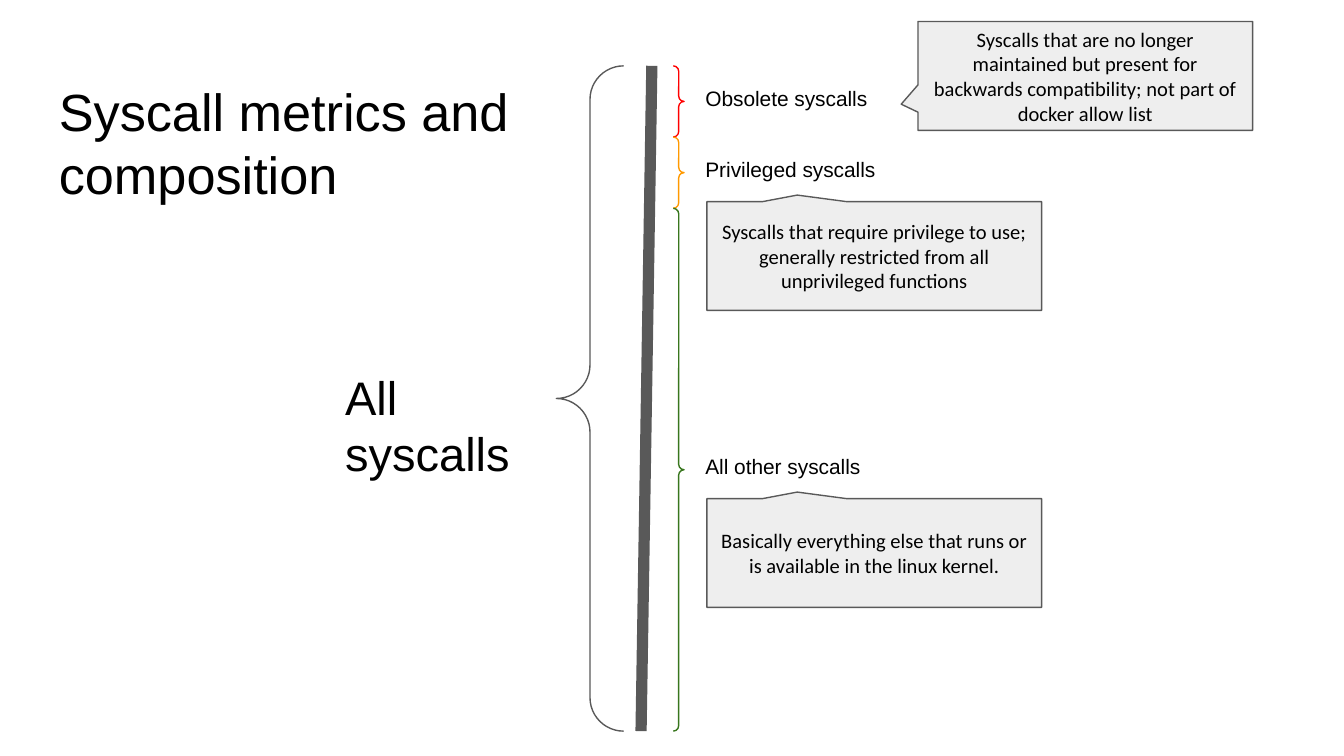
from dataclasses import dataclass

from lxml import etree
from pptx import Presentation
from pptx.dml.color import RGBColor
from pptx.enum import shapes, text
from pptx.oxml.ns import qn
from pptx.util import Inches, Pt


@dataclass(frozen=True)
class Theme:
    heading_font: str = "Arial"
    note_font: str = "Calibri"
    ink: str = "000000"
    outline: str = "595959"
    note_fill: str = "EEEEEE"
    obsolete: str = "FF0000"
    privileged: str = "FF9900"
    other: str = "38761D"
    title_size: float = 28
    total_size: float = 25.2
    label_size: float = 11.2
    note_size: float = 11
    thin: float = 0.75
    thick: float = 6


@dataclass(frozen=True)
class Category:
    label: str
    note: str
    color: str
    height: float
    label_top: float
    note_left: float
    note_top: float
    pointer: tuple[float, float]


THEME = Theme()
TOP, BOTTOM = 0.49, 5.44
POINT_LEFT = (-0.55, 0.26)
POINT_UP = (-0.23, -0.56)
CATEGORIES = [
    Category("Obsolete syscalls",
             "Syscalls that are no longer maintained but present for backwards "
             "compatibility; not part of docker allow list",
             THEME.obsolete, 0.53, 0.54, 6.83, 0.16, POINT_LEFT),
    Category("Privileged syscalls",
             "Syscalls that require privilege to use; generally restricted "
             "from all unprivileged functions",
             THEME.privileged, 0.53, 1.07, 5.26, 1.5, POINT_UP),
    Category("All other syscalls",
             "Basically everything else that runs or is available in the linux kernel.",
             THEME.other, 3.89, 3.28, 5.26, 3.71, POINT_UP),
]


def write(shape, words: str, *, size: float, font: str = THEME.heading_font,
          align=text.PP_ALIGN.LEFT, anchor=text.MSO_ANCHOR.TOP) -> None:
    frame = shape.text_frame
    frame.word_wrap = True
    frame.vertical_anchor = anchor
    frame.margin_left = frame.margin_right = Inches(0.1)
    frame.margin_top = frame.margin_bottom = Inches(0.1)
    paragraph = frame.paragraphs[0]
    paragraph.alignment = align
    run = paragraph.add_run()
    run.text = words
    run.font.name = font
    run.font.size = Pt(size)
    run.font.color.rgb = RGBColor.from_string(THEME.ink)


def add_heading(slide, words: str, left: float, top: float, width: float,
                height: float, size: float) -> None:
    box = slide.shapes.add_textbox(*map(Inches, (left, top, width, height)))
    write(box, words, size=size)


def add_outlined(slide, preset, left: float, top: float, width: float, height: float,
                 adjustments: tuple[float, float], color: str = THEME.outline):
    """Add an unfilled, thinly outlined preset shape."""
    shape = slide.shapes.add_shape(preset, *map(Inches, (left, top, width, height)))
    shape.shadow.inherit = False
    shape.fill.background()
    shape.line.color.rgb = RGBColor.from_string(color)
    shape.line.width = Pt(THEME.thin)
    for index, value in enumerate(adjustments):
        shape.adjustments[index] = value
    return shape


def add_bar(slide) -> None:
    """Draw the thick, slightly tilted line standing for the whole syscall list."""
    bar = slide.shapes.add_connector(
        shapes.MSO_CONNECTOR.STRAIGHT, *map(Inches, (4.85, TOP, 4.77, BOTTOM)))
    bar.line.color.rgb = RGBColor.from_string(THEME.outline)
    bar.line.width = Pt(THEME.thick)
    etree.SubElement(bar._element.spPr, qn("a:effectLst"))


def add_category(slide, category: Category, top: float) -> None:
    add_outlined(slide, shapes.MSO_SHAPE.RIGHT_BRACE, 5.01, top, 0.08,
                 category.height, (0.5, 0.5), category.color)
    add_heading(slide, category.label, 5.15, category.label_top, 1.76, 0.43,
                THEME.label_size)


def add_note(slide, category: Category) -> None:
    callout = add_outlined(slide, shapes.MSO_SHAPE.RECTANGULAR_CALLOUT,
                           category.note_left, category.note_top, 2.49, 0.81,
                           category.pointer)
    callout.fill.solid()
    callout.fill.fore_color.rgb = RGBColor.from_string(THEME.note_fill)
    write(callout, category.note, size=THEME.note_size, font=THEME.note_font,
          align=text.PP_ALIGN.CENTER, anchor=text.MSO_ANCHOR.MIDDLE)


def main() -> None:
    deck = Presentation()
    deck.slide_width = Inches(10)
    deck.slide_height = deck.slide_width * 9 // 16
    slide = deck.slides.add_slide(deck.slide_layouts[6])

    add_heading(slide, "Syscall metrics and composition", 0.34, TOP, 3.67, 1.36,
                THEME.title_size)
    add_bar(slide)
    add_outlined(slide, shapes.MSO_SHAPE.LEFT_BRACE, 4.14, TOP, 0.5, BOTTOM - TOP,
                 (0.5, 0.5))
    add_heading(slide, "All syscalls", 2.47, 2.64, 1.76, 0.65, THEME.total_size)

    top = TOP
    for category in CATEGORIES:
        add_category(slide, category, top)
        top += category.height
    for category in CATEGORIES:
        add_note(slide, category)

    deck.save("out.pptx")


if __name__ == "__main__":
    main()
